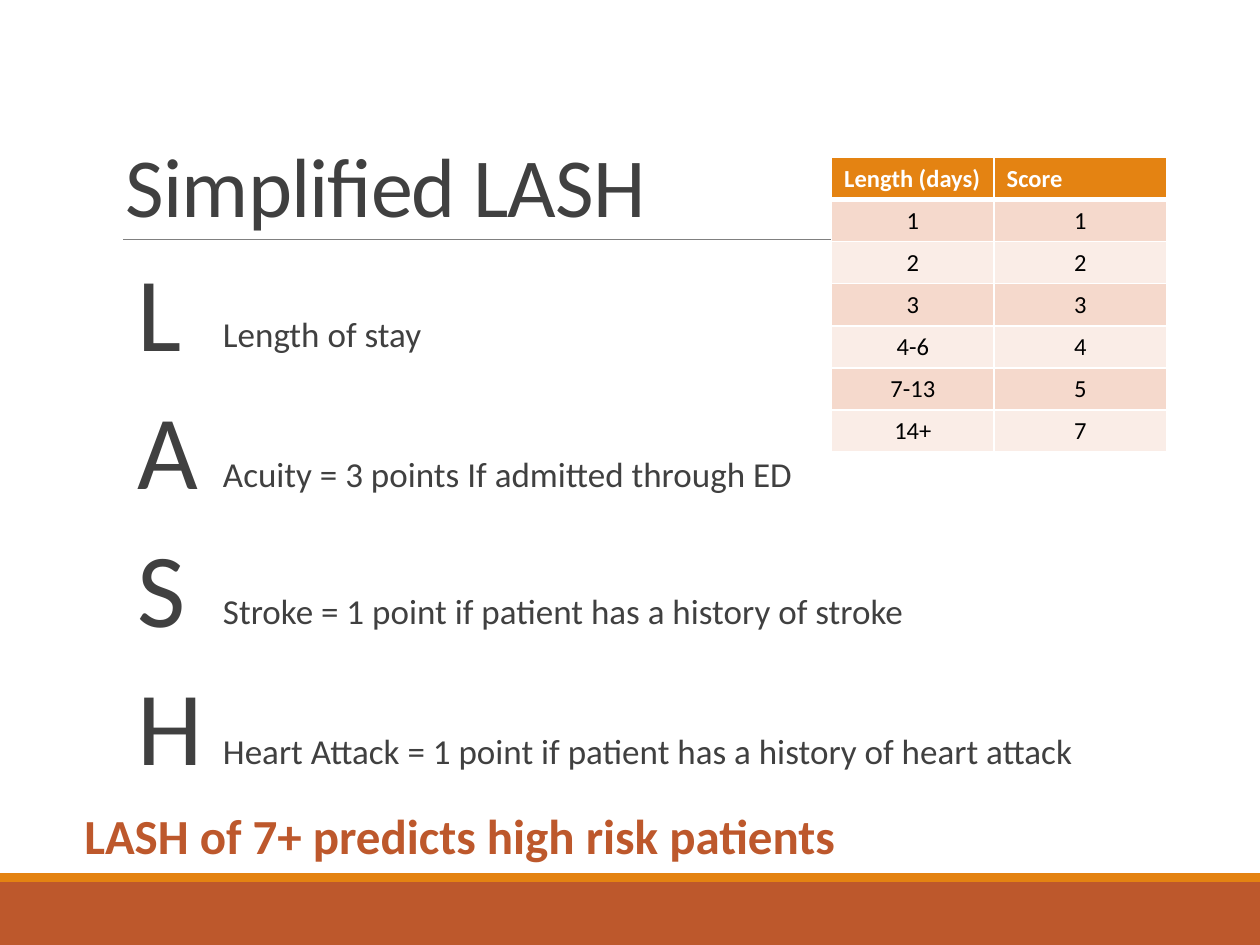
from lxml.etree import SubElement
from pptx import Presentation
from pptx.dml.color import RGBColor
from pptx.enum.shapes import MSO_CONNECTOR, MSO_SHAPE
from pptx.enum.text import MSO_ANCHOR, PP_ALIGN
from pptx.oxml import parse_xml
from pptx.oxml.ns import nsdecls, qn
from pptx.util import Inches, Pt

TITLE = "Simplified LASH"
CRITERIA = [  # letter, meaning, top of the meaning
    ("L", "Length of stay", 2.47),
    ("A", "Acuity = 3 points If admitted through ED", 3.58),
    ("S", "Stroke = 1 point if patient has a history of stroke", 4.67),
    ("H", "Heart Attack = 1 point if patient has a history of heart attack", 5.78),
]
SCORES = [
    ("Length (days)", "Score"),
    ("1", "1"), ("2", "2"), ("3", "3"), ("4-6", "4"), ("7-13", "5"), ("14+", "7"),
]
CONCLUSION = "LASH of 7+ predicts high risk patients"

COLORS = {
    "rust": "BD582C", "orange": "E48312", "rule": "808080", "text": "404040",
    "white": "FFFFFF", "black": "000000", "odd": "F5D9CC", "even": "FAEDE7",
}
FONT = "Calibri"
WIDTH, HEIGHT = 10, 7.5
LEFT = 0.9
FOOTER_TOP, STRIPE = 7, 0.07
COLUMN_WIDTHS = (1.29, 1.37)
ROW_HEIGHT = 2.33 / len(SCORES)


def color(name):
    return RGBColor.from_string(COLORS[name])


def style(para, size, color_name, bold=False):
    for span in para.runs:
        span.font.name = FONT
        span.font.size = Pt(size)
        span.font.bold = bold
        span.font.color.rgb = color(color_name)


def add_text(page, place, text, size, color_name="text", bold=False):
    """Add a text box with one body paragraph per line of text."""
    box = page.shapes.add_textbox(*map(Inches, place))
    frame = box.text_frame
    frame.word_wrap = True
    frame.margin_left = frame.margin_right = 0
    frame.text = text
    for para in frame.paragraphs:
        para.line_spacing = 0.9
        para.space_before, para.space_after = Pt(12), Pt(2)
        style(para, size, color_name, bold)
    return frame


def add_blank_bullet(para):
    properties = para._p.get_or_add_pPr()
    properties.set("marL", str(Inches(0.1)))
    properties.set("indent", str(-Inches(0.1)))
    bullet_color = SubElement(properties, qn("a:buClr"))
    SubElement(bullet_color, qn("a:srgbClr"), val=COLORS["orange"])
    SubElement(properties, qn("a:buFont"), typeface=FONT)
    SubElement(properties, qn("a:buChar"), char=" ")


def add_band(page, top, height, color_name):
    band = page.shapes.add_shape(
        MSO_SHAPE.RECTANGLE, 0, Inches(top), Inches(WIDTH), Inches(height))
    band.shadow.inherit = False
    band.fill.solid()
    band.fill.fore_color.rgb = color(color_name)
    band.line.fill.background()


def add_rule(page):
    rule = page.shapes.add_connector(
        MSO_CONNECTOR.STRAIGHT, Inches(0.98), Inches(1.9), Inches(9.15), Inches(1.9))
    rule.line.color.rgb = color("rule")
    rule.line.width = Pt(0.5)
    SubElement(rule._element.spPr, qn("a:effectLst"))


def add_title(page):
    frame = add_text(page, (LEFT, 0.31, 4.77, 1.6), TITLE, 48)
    frame.margin_left = frame.margin_right = Inches(0.1)
    frame.vertical_anchor = MSO_ANCHOR.BOTTOM
    para = frame.paragraphs[0]
    para.line_spacing = 0.85
    para.space_before = para.space_after = Pt(0)
    para.runs[0].font._element.set("spc", "-50")


def set_borders(cell, row):
    """Draw white borders, thicker between the heading and the scores."""
    widths = {"lnL": 1, "lnR": 1, "lnT": 3 if row == 1 else 1, "lnB": 3 if row == 0 else 1}
    properties = cell._tc.get_or_add_tcPr()
    for index, (side, width) in enumerate(widths.items()):
        properties.insert(index, parse_xml(
            f'<a:{side} {nsdecls("a")} w="{Pt(width)}"><a:solidFill>'
            f'<a:srgbClr val="{COLORS["white"]}"/></a:solidFill></a:{side}>'))


def add_scores(page):
    table = page.shapes.add_table(
        len(SCORES), len(COLUMN_WIDTHS), Inches(6.6), Inches(1.25),
        Inches(sum(COLUMN_WIDTHS)), Inches(ROW_HEIGHT * len(SCORES))).table
    for column, width in zip(table.columns, COLUMN_WIDTHS):
        column.width = Inches(width)
    for row, values in enumerate(SCORES):
        heading = row == 0
        fill = "orange" if heading else ("even", "odd")[row % 2]
        table.rows[row].height = Inches(ROW_HEIGHT)
        for column, value in enumerate(values):
            cell = table.cell(row, column)
            cell.text_frame.text = value
            para = cell.text_frame.paragraphs[0]
            para.alignment = PP_ALIGN.LEFT if heading else PP_ALIGN.CENTER
            style(para, 14, "white" if heading else "black", heading)
            cell.fill.solid()
            cell.fill.fore_color.rgb = color(fill)
            set_borders(cell, row)


def main():
    deck = Presentation()
    deck.slide_width, deck.slide_height = Inches(WIDTH), Inches(HEIGHT)
    page = deck.slides.add_slide(deck.slide_layouts[6])

    add_band(page, FOOTER_TOP, HEIGHT - FOOTER_TOP, "rust")
    add_band(page, FOOTER_TOP - STRIPE, STRIPE, "orange")
    add_rule(page)
    add_title(page)

    letters = "\n".join(letter for letter, _, _ in CRITERIA)
    for para in add_text(page, (LEFT, 2.02, 0.93, 4.4), letters, 60).paragraphs:
        add_blank_bullet(para)
    for _, meaning, top in CRITERIA:
        add_text(page, (1.77, top, 7.33, 0.9), meaning, 20)
    add_scores(page)
    add_text(page, (0.67, 6.4, 8.92, 0.74), CONCLUSION, 28, "rust", bold=True)

    deck.save("out.pptx")


if __name__ == "__main__":
    main()
